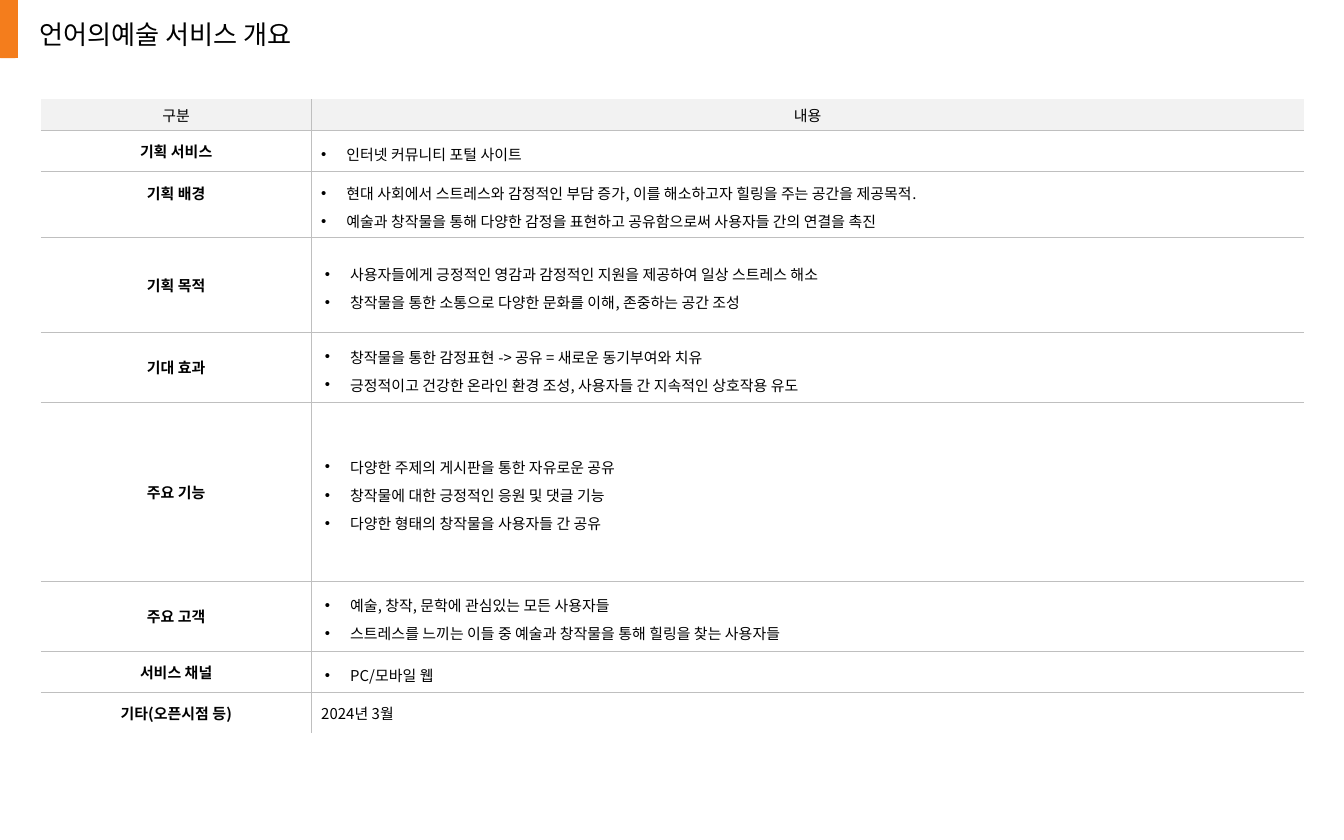
from lxml.etree import SubElement
from pptx import Presentation
from pptx.dml.color import RGBColor
from pptx.enum.shapes import MSO_SHAPE
from pptx.enum.text import MSO_ANCHOR, PP_ALIGN
from pptx.oxml.ns import qn
from pptx.util import Pt

FONT = "Noto Sans CJK KR"
BLACK = RGBColor(0x00, 0x00, 0x00)
ORANGE = RGBColor(0xF4, 0x77, 0x10)
HEADER_GRAY = RGBColor(0xF2, 0xF2, 0xF2)
BORDER_GRAY = RGBColor(0xBF, 0xBF, 0xBF)

NARROW = (5.2, 2.6)
WIDE = (7.2, 3.6)
COLUMN_WIDTHS = (145, 531.6)
HEADER_HEIGHT = 15.1
HEADERS = ("구분", "내용")
ROWS = [
    ("기획 서비스", 21.6, NARROW, ["인터넷 커뮤니티 포털 사이트"]),
    ("기획 배경", 34.6, NARROW, [
        "현대 사회에서 스트레스와 감정적인 부담 증가, 이를 해소하고자 힐링을 주는 공간을 제공목적.",
        "예술과 창작물을 통해 다양한 감정을 표현하고 공유함으로써 사용자들 간의 연결을 촉진",
    ]),
    ("기획 목적", 51.1, WIDE, [
        "사용자들에게 긍정적인 영감과 감정적인 지원을 제공하여 일상 스트레스 해소",
        "창작물을 통한 소통으로 다양한 문화를 이해, 존중하는 공간 조성",
    ]),
    ("기대 효과", 36.7, WIDE, [
        "창작물을 통한 감정표현 -> 공유 = 새로운 동기부여와 치유",
        "긍정적이고 건강한 온라인 환경 조성, 사용자들 간 지속적인 상호작용 유도",
    ]),
    ("주요 기능", 95.6, WIDE, [
        "다양한 주제의 게시판을 통한 자유로운 공유",
        "창작물에 대한 긍정적인 응원 및 댓글 기능",
        "다양한 형태의 창작물을 사용자들 간 공유",
    ]),
    ("주요 고객", 36.7, WIDE, [
        "예술, 창작, 문학에 관심있는 모든 사용자들",
        "스트레스를 느끼는 이들 중 예술과 창작물을 통해 힐링을 찾는 사용자들",
    ]),
    ("서비스 채널", 21.6, WIDE, ["PC/모바일 웹"]),
]
LAST_ROW = ("기타(오픈시점 등)", 21.6, "2024년 3월")


def add_run(paragraph, text, size=8, bold=False):
    run = paragraph.add_run()
    run.text = text
    run.font.size = Pt(size)
    run.font.bold = bold
    run.font.color.rgb = BLACK
    run.font.name = FONT
    SubElement(run.font._element, qn("a:ea"), typeface=FONT)


def add_bullet(paragraph):
    properties = paragraph._p.get_or_add_pPr()
    properties.set("marL", str(Pt(13.5)))
    properties.set("indent", str(-Pt(13.5)))
    SubElement(properties, qn("a:buFont"), typeface="Arial")
    SubElement(properties, qn("a:buChar"), char="•")
    paragraph.alignment = PP_ALIGN.JUSTIFY
    paragraph.line_spacing = 1.3


def set_borders(cell, visible):
    properties = cell._tc.get_or_add_tcPr()
    for side in "LRTB":
        line = SubElement(properties, qn(f"a:ln{side}"), w=str(Pt(0.25)))
        if side in visible:
            fill = SubElement(line, qn("a:solidFill"))
            SubElement(fill, qn("a:srgbClr"), val=str(BORDER_GRAY))
        else:
            SubElement(line, qn("a:noFill"))


def style_cell(cell, visible_borders, color=None, insets=NARROW):
    set_borders(cell, visible_borders)
    if color is None:
        cell.fill.background()
    else:
        cell.fill.solid()
        cell.fill.fore_color.rgb = color
    cell.vertical_anchor = MSO_ANCHOR.MIDDLE
    cell.margin_left = cell.margin_right = Pt(insets[0])
    cell.margin_top = cell.margin_bottom = Pt(insets[1])


def fill_centered(cell, text, bold=False):
    paragraph = cell.text_frame.paragraphs[0]
    paragraph.alignment = PP_ALIGN.CENTER
    add_run(paragraph, text, bold=bold)


def fill_bullets(cell, items):
    frame = cell.text_frame
    for index, item in enumerate(items):
        paragraph = frame.add_paragraph() if index else frame.paragraphs[0]
        add_bullet(paragraph)
        add_run(paragraph, item)


def add_overview_table(slide):
    last_label, last_height, last_text = LAST_ROW
    heights = [HEADER_HEIGHT, *(row[1] for row in ROWS), last_height]
    table = slide.shapes.add_table(
        len(heights), 2, Pt(21.9), Pt(53.1), Pt(sum(COLUMN_WIDTHS)), Pt(sum(heights))
    ).table
    table.first_row = False
    table.horz_banding = False
    for column, width in zip(table.columns, COLUMN_WIDTHS):
        column.width = Pt(width)
    for row, height in zip(table.rows, heights):
        row.height = Pt(height)

    for index, (text, borders) in enumerate(zip(HEADERS, ("RB", "LB"))):
        style_cell(table.cell(0, index), borders, HEADER_GRAY)
        fill_centered(table.cell(0, index), text)

    for index, (label, _, insets, items) in enumerate(ROWS, start=1):
        style_cell(table.cell(index, 0), "RTB")
        fill_centered(table.cell(index, 0), label, bold=True)
        style_cell(table.cell(index, 1), "LTB", insets=insets)
        fill_bullets(table.cell(index, 1), items)
    table.cell(2, 0).margin_bottom = Pt(14.2)

    last = len(heights) - 1
    style_cell(table.cell(last, 0), "RT")
    fill_centered(table.cell(last, 0), last_label, bold=True)
    style_cell(table.cell(last, 1), "LT")
    add_run(table.cell(last, 1).text_frame.paragraphs[0], last_text)


def add_title(slide, text):
    frame = slide.shapes.add_textbox(Pt(14.1), Pt(6.5), Pt(164), Pt(24.5)).text_frame
    frame.word_wrap = False
    add_run(frame.paragraphs[0], text, size=14)


def add_accent(slide):
    shape = slide.shapes.add_shape(
        MSO_SHAPE.ROUNDED_RECTANGLE, Pt(0), Pt(-24.5), Pt(9.6), Pt(55.6)
    )
    shape.adjustments[0] = 0.036
    shape.shadow.inherit = False
    shape.line.fill.background()
    shape.fill.solid()
    shape.fill.fore_color.rgb = ORANGE
    color = shape._element.spPr.find(qn("a:solidFill")).find(qn("a:srgbClr"))
    SubElement(color, qn("a:alpha"), val="95000")


def main():
    presentation = Presentation()
    presentation.slide_width = Pt(720)
    presentation.slide_height = Pt(450)
    slide = presentation.slides.add_slide(presentation.slide_layouts[6])
    add_overview_table(slide)
    add_title(slide, "언어의예술 서비스 개요")
    add_accent(slide)
    presentation.save("out.pptx")


if __name__ == "__main__":
    main()
